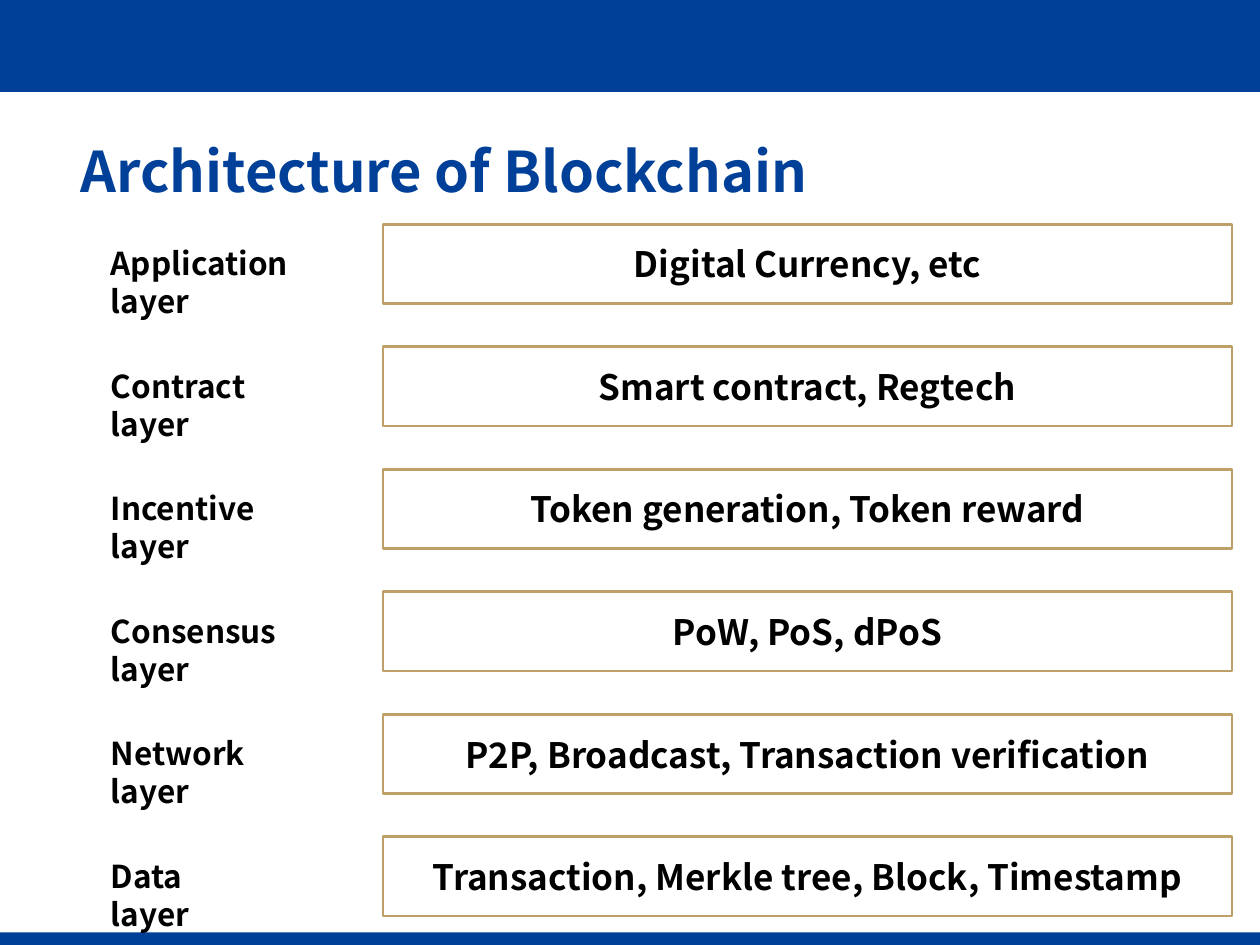
import pptx
import pptx.util
import pptx.dml.color
import pptx.enum.shapes
import pptx.enum.text
from dataclasses import dataclass

Pt = pptx.util.Pt
RGB = pptx.dml.color.RGBColor.from_string
ALIGN = pptx.enum.text.PP_ALIGN
ANCHOR = pptx.enum.text.MSO_ANCHOR
AUTO = pptx.enum.text.MSO_AUTO_SIZE
RECT = pptx.enum.shapes.MSO_SHAPE.RECTANGLE

TITLE = "Architecture of Blockchain"

# label, label width, content
LAYERS = [
    ("Application layer", 140, "Digital Currency, etc"),
    ("Contract layer", 122, "Smart contract, Regtech"),
    ("Incentive layer", 130, "Token generation, Token reward"),
    ("Consensus layer", 140, "PoW, PoS, dPoS"),
    ("Network layer", 122, "P2P, Broadcast, Transaction verification"),
    ("Data layer", 91, "Transaction, Merkle tree, Block, Timestamp"),
]


@dataclass(frozen=True)
class Theme:
    font: str = "Noto Sans CJK SC"
    blue: str = "004098"
    gold: str = "BD9F68"
    white: str = "FFFFFF"
    black: str = "000000"
    title_size: int = 32
    content_size: int = 20
    label_size: int = 18


THEME = Theme()

WIDTH, HEIGHT = 720, 540
TOP_BAND, BOTTOM_BAND = 52.5, 7.2
ROW_TOP, ROW_PITCH = 128.16, 70
BOX_LEFT, BOX_WIDTH, BOX_HEIGHT = 218.8, 485.3, 45.4
LABEL_LEFT, LABEL_DROP, LABEL_HEIGHT = 56.2, 7.9, 28.8


def write(sp, text, size, color, align, anchor):
    tf = sp.text_frame
    tf.text = text
    tf.word_wrap = True
    tf.vertical_anchor = anchor
    p = tf.paragraphs[0]
    p.alignment = align
    font = p.runs[0].font
    font.name, font.size, font.bold = THEME.font, Pt(size), True
    font.color.rgb = RGB(color)
    return tf


def add_rect(s, left, top, width, height, fill, line=None):
    sp = s.shapes.add_shape(RECT, Pt(left), Pt(top), Pt(width), Pt(height))
    sp.shadow.inherit = False
    sp.fill.solid()
    sp.fill.fore_color.rgb = RGB(fill)
    if line:
        sp.line.color.rgb = RGB(line)
        sp.line.width = Pt(1.5)
    else:
        sp.line.fill.background()
    return sp


def add_title(s):
    sp = s.shapes.title
    sp.left, sp.top, sp.width, sp.height = Pt(38.9), Pt(77), Pt(659.5), Pt(45.4)
    tf = write(sp, TITLE, THEME.title_size, THEME.blue, ALIGN.LEFT, ANCHOR.MIDDLE)
    tf.auto_size = AUTO.NONE
    tf.paragraphs[0].line_spacing = 0.9


def add_layer(s, top, label, label_width, content):
    sp = s.shapes.add_textbox(Pt(LABEL_LEFT), Pt(top + LABEL_DROP),
                              Pt(label_width), Pt(LABEL_HEIGHT))
    tf = write(sp, label, THEME.label_size, THEME.black, ALIGN.LEFT, ANCHOR.TOP)
    tf.auto_size = AUTO.SHAPE_TO_FIT_TEXT
    box = add_rect(s, BOX_LEFT, top, BOX_WIDTH, BOX_HEIGHT, THEME.white, THEME.gold)
    write(box, content, THEME.content_size, THEME.black, ALIGN.CENTER, ANCHOR.MIDDLE)


def main():
    prs = pptx.Presentation()
    prs.slide_width, prs.slide_height = Pt(WIDTH), Pt(HEIGHT)
    s = prs.slides.add_slide(prs.slide_layouts[5])
    add_rect(s, 0, 0, WIDTH, TOP_BAND, THEME.blue)
    add_rect(s, 0, HEIGHT - BOTTOM_BAND, WIDTH, BOTTOM_BAND, THEME.blue)
    add_title(s)
    for i, layer in enumerate(LAYERS):
        add_layer(s, ROW_TOP + i * ROW_PITCH, *layer)
    prs.save("out.pptx")


if __name__ == "__main__":
    main()
